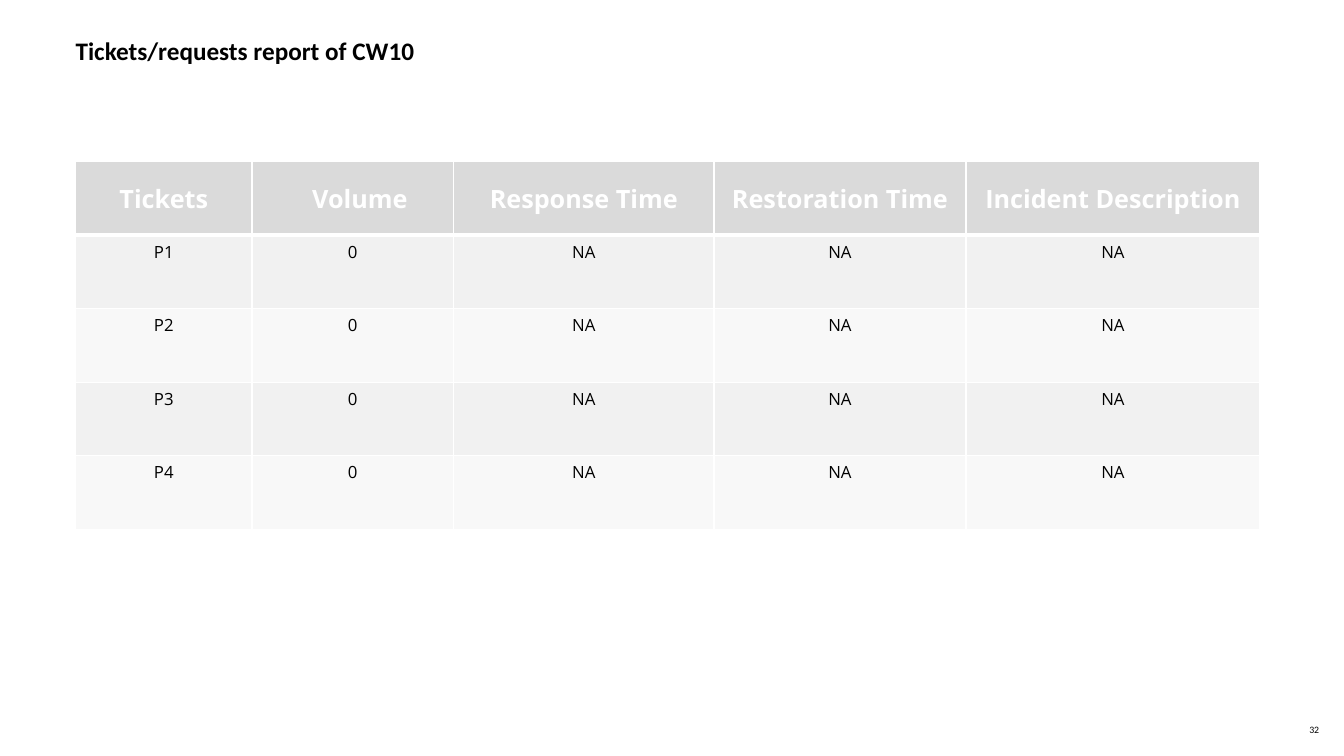
from pptx import Presentation
from pptx.dml.color import RGBColor
from pptx.enum.text import MSO_ANCHOR, PP_ALIGN
from pptx.oxml import parse_xml
from pptx.oxml.ns import nsdecls
from pptx.util import Pt

PX = 9525  # EMU per px, 96 px to the inch


def style(para, face, size, color, bold=False):
    font = para.font
    font.name, font.size, font.bold = face, Pt(size), bold
    font.color.rgb = RGBColor.from_string(color)


def edge(cell, side, width):
    cell._tc.get_or_add_tcPr().append(parse_xml(
        f'<a:ln{side} {nsdecls("a")} w="{Pt(width)}"><a:solidFill>'
        f'<a:srgbClr val="FFFFFF"/></a:solidFill></a:ln{side}>'))


deck = Presentation()
deck.slide_width, deck.slide_height = 1280 * PX, 720 * PX
slide = deck.slides.add_slide(deck.slide_layouts[5])

# Title
title = slide.shapes.title
title.left, title.top, title.width, title.height = 72 * PX, 31 * PX, 1190 * PX, 64 * PX
# Page number
page = slide.shapes.add_textbox(1247 * PX, 687 * PX, 34 * PX, 16 * PX)

for box, text, size, bold, anchor in (
        (title, "Tickets/requests report of CW10", 18, True, MSO_ANCHOR.TOP),
        (page, "32", 7, False, MSO_ANCHOR.MIDDLE)):
    frame = box.text_frame
    frame.text = text
    frame.word_wrap = True
    frame.vertical_anchor = anchor
    frame.margin_left = frame.margin_right = frame.margin_top = frame.margin_bottom = 0
    para = frame.paragraphs[0]
    para.alignment = PP_ALIGN.LEFT
    style(para, "Calibri", size, "000000", bold)
title.text_frame.paragraphs[0].line_spacing = 1.1

# Ticket table
heads = ["Tickets", "Volume", "Response Time", "Restoration Time", "Incident Description"]
rows = [heads] + [[f"P{n}", "0", "NA", "NA", "NA"] for n in range(1, 5)]
widths = [168, 192, 248, 240, 280]
high = 70
grid = slide.shapes.add_table(len(rows), len(widths), 72 * PX, 154 * PX,
                              sum(widths) * PX, high * len(rows) * PX).table
for col, width in zip(grid.columns, widths):
    col.width = width * PX

for r, row in enumerate(rows):
    grid.rows[r].height = high * PX
    head = r == 0
    for c, text in enumerate(row):
        cell = grid.cell(r, c)
        cell.text = text
        for side in "LRTB":
            thick = (r, side) in ((0, "B"), (1, "T"))
            edge(cell, side, 3 if thick else 1)
        cell.fill.solid()
        shade = "DADADA" if head else "F1F1F1" if r % 2 else "F8F8F8"
        cell.fill.fore_color.rgb = RGBColor.from_string(shade)
        cell.vertical_anchor = MSO_ANCHOR.MIDDLE if head else MSO_ANCHOR.TOP
        para = cell.text_frame.paragraphs[0]
        para.alignment = PP_ALIGN.CENTER
        style(para, "Open Sans", 18 if head else 12, "FFFFFF" if head else "000000", head)

# The Volume heading sits a little right of centre
grid.cell(0, 1).margin_left = 23 * PX

deck.save("out.pptx")
